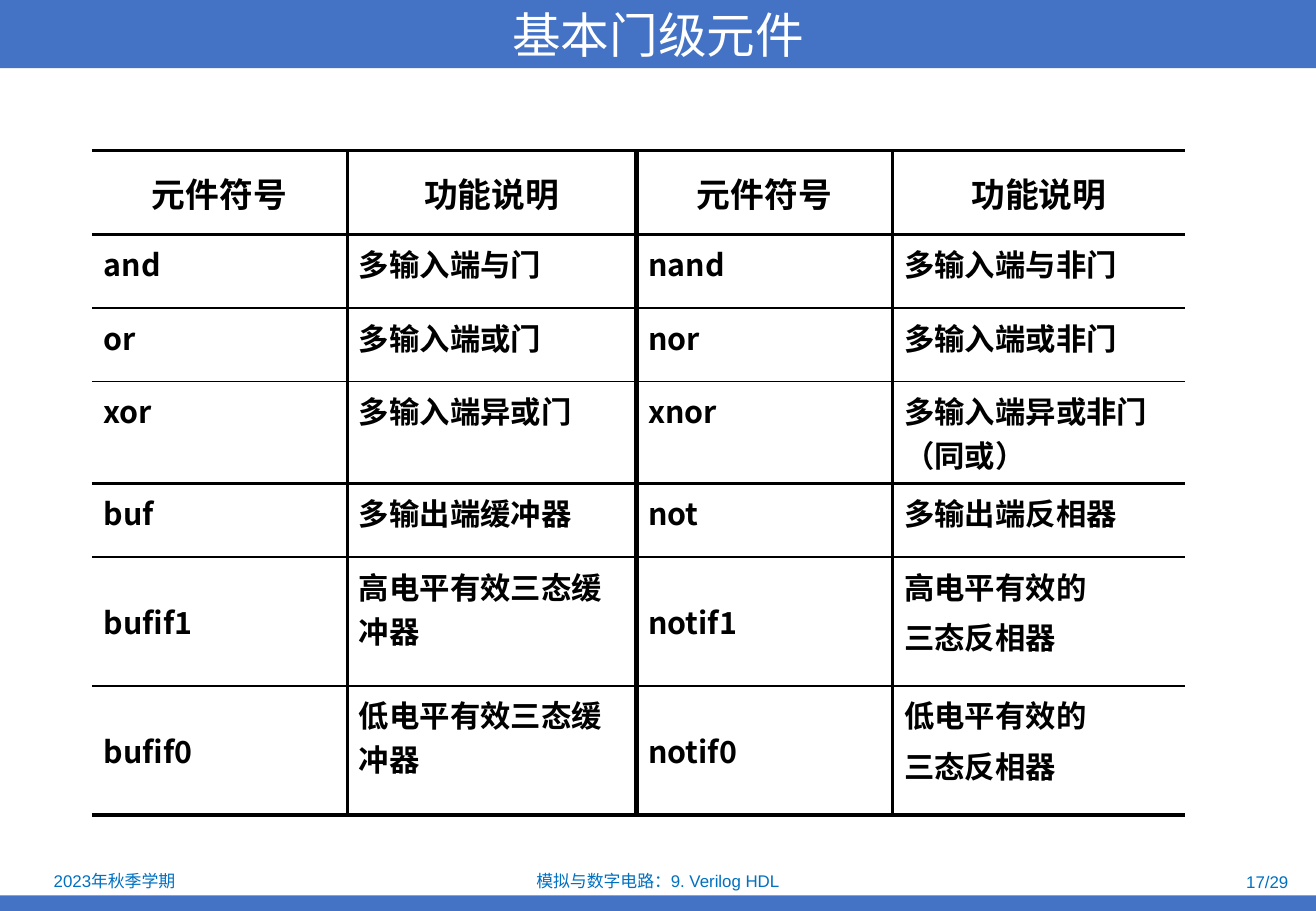
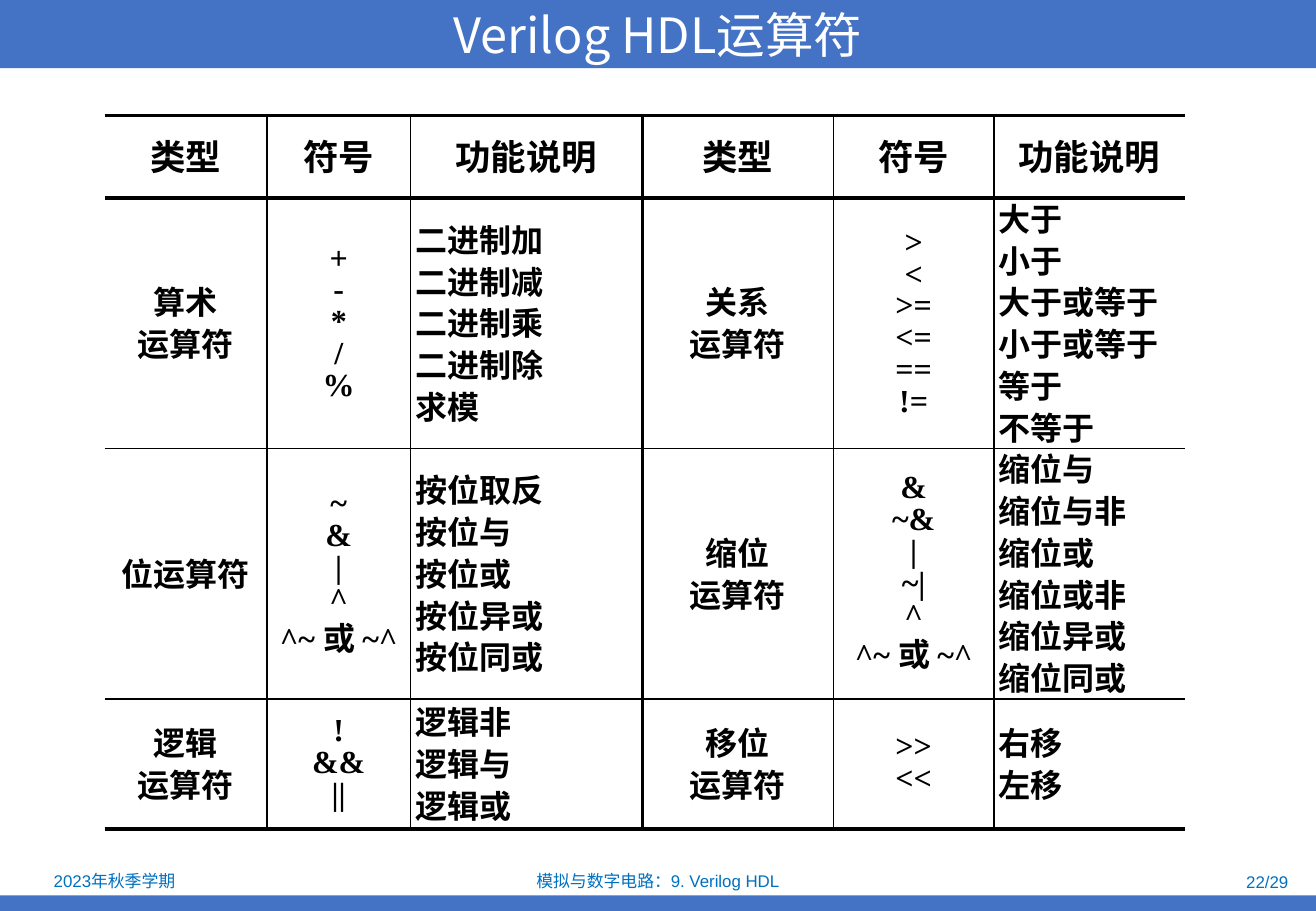
"""Builds two lecture slides with tables of Verilog gates and operators."""
from lxml.etree import SubElement
from pptx import Presentation
from pptx.dml.color import RGBColor
from pptx.enum.shapes import MSO_SHAPE
from pptx.enum.text import MSO_ANCHOR, PP_ALIGN
from pptx.oxml.ns import qn
from pptx.util import Pt

COLORS = {"band": "4472C4", "footer": "0070C0", "title": "FFFFFF", "ink": "000000"}
CJK_FONT = "Noto Sans CJK SC"
SLIDE_W, SLIDE_H = 780, 540
TITLE_H, BASE_H = 40.4, 9.2
TERM = "2023年秋季学期"
COURSE = "模拟与数字电路：9. Verilog HDL"

LECTURE_SLIDES = [
    {
        "title": "基本门级元件",
        "page": "17/29",
        "left": 54.5, "top": 89.4,
        "columns": [151.3, 171.4, 151.8, 173.6],
        "heights": [49.7, 43.5, 43.5, 60.7, 43.5, 76.4, 76.4],
        "column_lines": [0, 2.25, 3, 2.25, 0],
        "row_lines": [2.25, 2.25, 0.75, 0.75, 2.25, 1, 0.75, 2.25],
        "font": CJK_FONT, "head_size": 20, "body_size": 18,
        "margins": (7, 4), "line_spacing": 1, "gap_after": 0.2,
        "left_columns": [0, 1, 2, 3],
        "top_cells": [(r, c) for r in range(1, 7) for c in range(4) if r < 5 or c % 2],
        "rows": [
            ["元件符号", "功能说明", "元件符号", "功能说明"],
            ["and", "多输入端与门", "nand", "多输入端与非门"],
            ["or", "多输入端或门", "nor", "多输入端或非门"],
            ["xor", "多输入端异或门", "xnor", "多输入端异或非门（同或）"],
            ["buf", "多输出端缓冲器", "not", "多输出端反相器"],
            ["bufif1", "高电平有效三态缓冲器", "notif1", "高电平有效的\n三态反相器"],
            ["bufif0", "低电平有效三态缓冲器", "notif0", "低电平有效的\n三态反相器"],
        ],
    },
    {
        "title": "Verilog HDL运算符",
        "page": "22/29",
        "left": 62, "top": 68.4,
        "columns": [96.4, 84.8, 137.6, 113.2, 95.2, 113.2],
        "heights": [49, 148.5, 148.5, 77],
        "column_lines": [0, 1, 1, 2, 1, 1, 0],
        "row_lines": [2.25, 2.25, 1, 1, 2.25],
        "font": "Times New Roman", "head_size": 21, "body_size": 19,
        "margins": (3, 0), "line_spacing": 0.9, "gap_after": 0,
        "left_columns": [2, 5],
        "top_cells": [],
        "rows": [
            ["类型", "符号", "功能说明"] * 2,
            ["算术\n运算符", "+\n-\n*\n/\n%",
             "二进制加\n二进制减\n二进制乘\n二进制除\n求模",
             "关系\n运算符", ">\n<\n>=\n<=\n==\n!=",
             "大于\n小于\n大于或等于\n小于或等于\n等于\n不等于"],
            ["位运算符", "~\n&\n|\n^\n^~ 或 ~^",
             "按位取反\n按位与\n按位或\n按位异或\n按位同或",
             "缩位\n运算符", "&\n~&\n|\n~|\n^\n^~ 或 ~^",
             "缩位与\n缩位与非\n缩位或\n缩位或非\n缩位异或\n缩位同或"],
            ["逻辑\n运算符", "!\n&&\n||", "逻辑非\n逻辑与\n逻辑或",
             "移位\n运算符", ">>\n<<", "右移\n左移"],
        ],
    },
]


def write(frame, text, font, size, color, align, bold=False):
    frame.text = text
    frame.word_wrap = True
    for paragraph in frame.paragraphs:
        paragraph.alignment = align
        for run in paragraph.runs:
            run.font.name = font
            run.font.size = Pt(size)
            run.font.bold = bold
            run.font.color.rgb = RGBColor.from_string(COLORS[color])
            SubElement(run.font._element, qn("a:ea"), typeface=CJK_FONT)


def draw_border(cell, side, width):
    line = SubElement(cell._tc.get_or_add_tcPr(), qn("a:" + side), w=str(Pt(width)))
    if width:
        fill = SubElement(line, qn("a:solidFill"))
        SubElement(fill, qn("a:srgbClr"), val=COLORS["ink"])
    else:
        SubElement(line, qn("a:noFill"))


prs = Presentation()
prs.slide_width, prs.slide_height = Pt(SLIDE_W), Pt(SLIDE_H)

for lecture in LECTURE_SLIDES:
    slide = prs.slides.add_slide(prs.slide_layouts[6])

    for top, height, heading in [(SLIDE_H - BASE_H, BASE_H, ""), (0, TITLE_H, lecture["title"])]:
        band = slide.shapes.add_shape(MSO_SHAPE.RECTANGLE, 0, Pt(top), Pt(SLIDE_W), Pt(height))
        band.shadow.inherit = False
        band.fill.solid()
        band.fill.fore_color.rgb = RGBColor.from_string(COLORS["band"])
        band.line.fill.background()
        if heading:
            band.text_frame.vertical_anchor = MSO_ANCHOR.MIDDLE
            band.text_frame.margin_top = band.text_frame.margin_bottom = 0
            write(band.text_frame, heading, CJK_FONT, 28.8, "title", PP_ALIGN.CENTER)

    for left, top, width, height, label, align in [
        (1.6, 514, 132.5, 16.6, TERM, PP_ALIGN.CENTER),
        (266.4, 514.6, 247, 15.2, COURSE, PP_ALIGN.CENTER),
        (588.6, 515, 182, 15.2, lecture["page"], PP_ALIGN.RIGHT),
    ]:
        footer = slide.shapes.add_textbox(Pt(left), Pt(top), Pt(width), Pt(height)).text_frame
        footer.vertical_anchor = MSO_ANCHOR.MIDDLE
        footer.margin_top = footer.margin_bottom = 0
        write(footer, label, "Arial", 10, "footer", align)

    columns, heights = lecture["columns"], lecture["heights"]
    table = slide.shapes.add_table(
        len(heights), len(columns), Pt(lecture["left"]), Pt(lecture["top"]),
        Pt(sum(columns)), Pt(sum(heights))).table
    table.first_row = table.horz_banding = False
    for column, width in zip(table.columns, columns):
        column.width = Pt(width)
    for row, height in zip(table.rows, heights):
        row.height = Pt(height)

    side_margin, end_margin = lecture["margins"]
    for r, entries in enumerate(lecture["rows"]):
        size = lecture["body_size"] if r else lecture["head_size"]
        for c, entry in enumerate(entries):
            cell = table.cell(r, c)
            align = PP_ALIGN.LEFT if r and c in lecture["left_columns"] else PP_ALIGN.CENTER
            write(cell.text_frame, entry, lecture["font"], size, "ink", align, bold=True)
            for paragraph in cell.text_frame.paragraphs:
                paragraph.line_spacing = lecture["line_spacing"]
                paragraph.space_after = Pt(size * lecture["gap_after"])
            in_top = (r, c) in lecture["top_cells"]
            cell.vertical_anchor = MSO_ANCHOR.TOP if in_top else MSO_ANCHOR.MIDDLE
            cell.margin_left = cell.margin_right = Pt(side_margin)
            cell.margin_top = cell.margin_bottom = Pt(end_margin)
            draw_border(cell, "lnL", lecture["column_lines"][c])
            draw_border(cell, "lnR", lecture["column_lines"][c + 1])
            draw_border(cell, "lnT", lecture["row_lines"][r])
            draw_border(cell, "lnB", lecture["row_lines"][r + 1])
            cell.fill.background()

prs.save("out.pptx")
